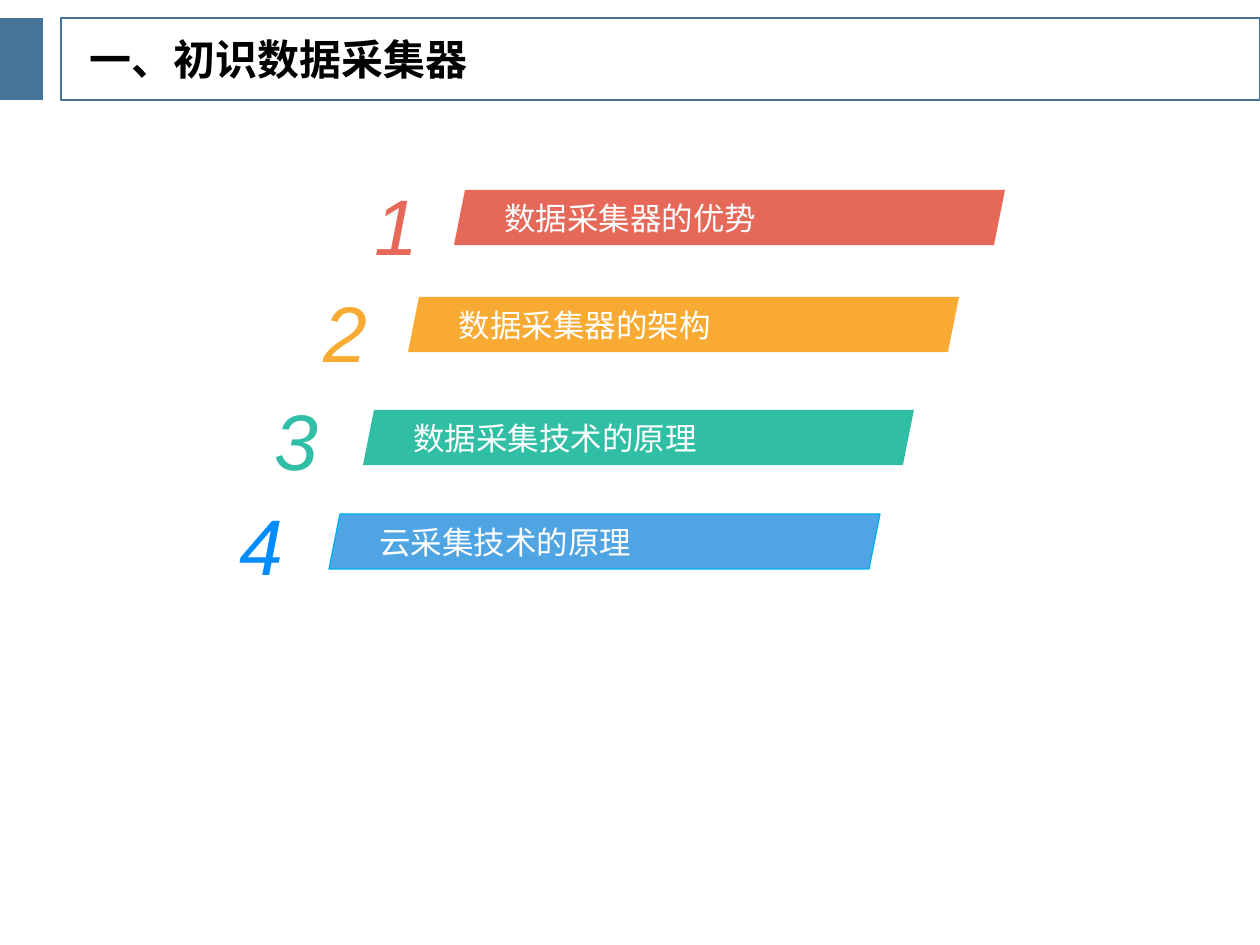
from pptx import Presentation
from pptx.dml.color import RGBColor
from pptx.enum.shapes import MSO_SHAPE
from pptx.enum.text import MSO_ANCHOR, PP_ALIGN
from pptx.util import Emu, Pt

RECTANGLE, PARALLELOGRAM = MSO_SHAPE.RECTANGLE, MSO_SHAPE.PARALLELOGRAM
MIDDLE = MSO_ANCHOR.MIDDLE
LEFT, CENTER, JUSTIFY = PP_ALIGN.LEFT, PP_ALIGN.CENTER, PP_ALIGN.JUSTIFY

PX = 914400 // 126
SLIDE_WIDTH, SLIDE_HEIGHT = 1260, 945
CJK_FONT, NUMBER_FONT = "TeX Gyre Adventor", "Arial"
HEADER_BLUE = "467396"
BAR_WIDTH, BAR_HEIGHT = 551, 55
NUMBER_WIDTH, NUMBER_HEIGHT = 126, 165

# number, wording, bar colour, outline, number colour, bar (left, top), number (left, top)
AGENDA = [
    ("1", "数据采集器的优势", "E66858", None, "E56858", (454, 190), (333, 142)),
    ("2", "数据采集器的架构", "F9AA33", None, "F9AA33", (408, 297), (282, 249)),
    ("3", "数据采集技术的原理", "30BEA5", None, "31BEA6", (363, 410), (233, 357)),
    ("4", "云采集技术的原理", "4FA5E3", "00B0F0", "008CFF", (329, 514), (198, 462)),
]


def px(*lengths):
    return [Emu(length * PX) for length in lengths]


def rgb(hex_colour):
    return RGBColor.from_string(hex_colour)


def add_block(slide, preset, box, fill=None, outline=None, weight=1):
    block = slide.shapes.add_shape(preset, *px(*box))
    block.shadow.inherit = False
    if fill:
        block.fill.solid()
        block.fill.fore_color.rgb = rgb(fill)
    else:
        block.fill.background()
    if outline:
        block.line.color.rgb = rgb(outline)
        block.line.width = Pt(weight)
    else:
        block.line.fill.background()
    return block


def write(holder, wording, colour, align, insets=(0, 0), spacing=None, **font_format):
    """Fill a shape with one vertically centred line; insets are (side, top) in px."""
    frame = holder.text_frame
    frame.word_wrap = True
    frame.vertical_anchor = MIDDLE
    side, top = px(*insets)
    frame.margin_left = frame.margin_right = side
    frame.margin_top = frame.margin_bottom = top
    line = frame.paragraphs[0]
    line.alignment = align
    line.line_spacing = spacing
    run = line.add_run()
    run.text = wording
    run.font.color.rgb = rgb(colour)
    for attribute, value in font_format.items():
        setattr(run.font, attribute, value)


def add_header(slide, box, title):
    left, top, width, height = box
    frame_left = left + 61
    add_block(slide, RECTANGLE, (left, top, 43, height), fill=HEADER_BLUE)
    add_block(slide, RECTANGLE, (frame_left, top, width - 61, height),
              outline=HEADER_BLUE)
    heading = slide.shapes.add_textbox(*px(frame_left + 16, top + 12, 415, 64))
    write(heading, title, "000000", LEFT, insets=(13, 6), spacing=0.9,
          name=CJK_FONT, size=Pt(24), bold=True)


def add_agenda_item(slide, number, wording, fill, outline, number_colour,
                    bar_at, number_at):
    bar = add_block(slide, PARALLELOGRAM, (*bar_at, BAR_WIDTH, BAR_HEIGHT),
                    fill, outline, weight=0.75)
    bar.adjustments[0] = 0.2
    write(bar, wording, "FFFFFF", JUSTIFY, name=CJK_FONT, size=Pt(18))
    numeral = slide.shapes.add_textbox(*px(*number_at, NUMBER_WIDTH, NUMBER_HEIGHT))
    write(numeral, number, number_colour, CENTER,
          name=NUMBER_FONT, size=Pt(45), italic=True)


def main():
    deck = Presentation()
    deck.slide_width, deck.slide_height = px(SLIDE_WIDTH, SLIDE_HEIGHT)
    slide = deck.slides.add_slide(deck.slide_layouts[6])
    add_header(slide, (0, 18, SLIDE_WIDTH, 82), "一、初识数据采集器")
    for item in AGENDA:
        add_agenda_item(slide, *item)
    deck.save("out.pptx")


if __name__ == "__main__":
    main()
